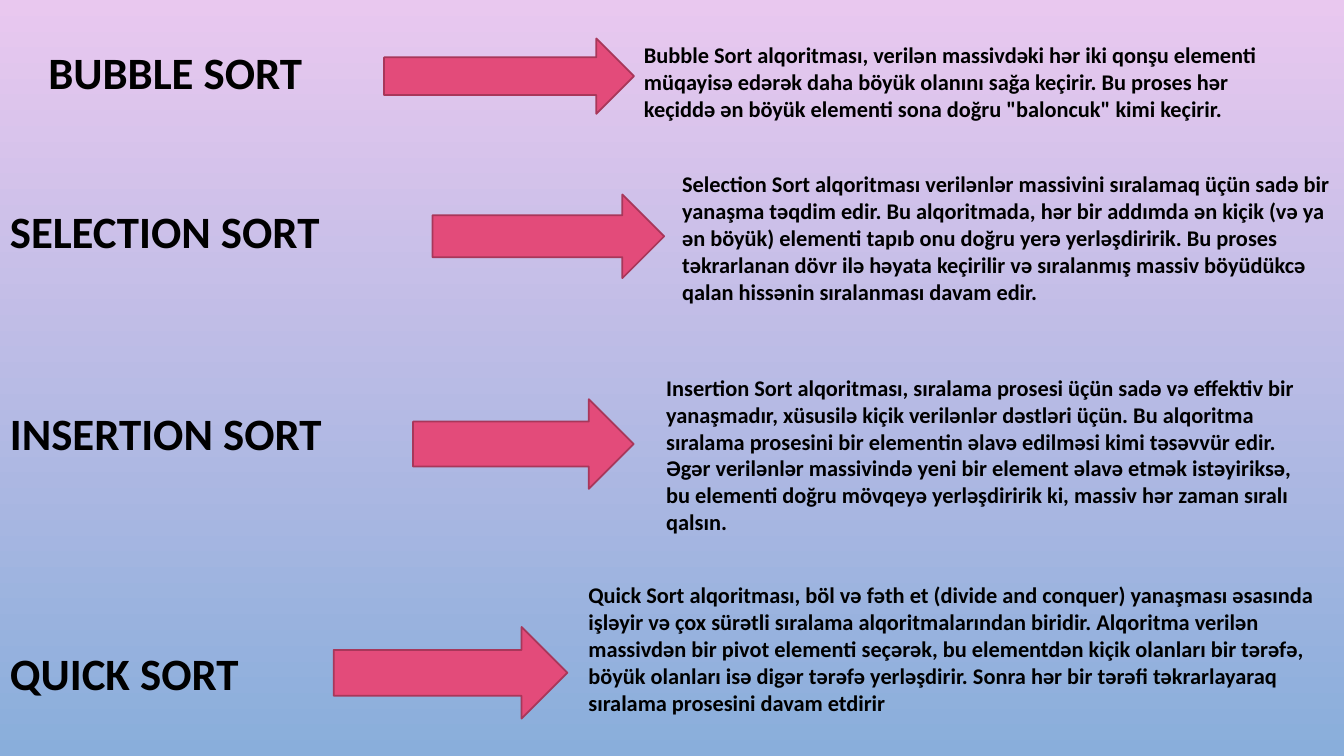
import pptx
import pptx.dml.color
import pptx.enum.shapes
import pptx.enum.text
import pptx.util
from pptx.util import Cm

BLACK, PINK, DARK_PINK = "000000", "E34B7A", "A8375A"
SKY_TOP, SKY_BOTTOM = "E9C8EF", "89AEDB"

SORTS = [
    {
        "name": "BUBBLE SORT",
        "name_box": (-0.84, 0.3, 10.52, 3.2),
        "centred": True,
        "arrow_box": (9.68, 0.97, 6.3, 1.9),
        "text_box": (15.98, 0.91, 16.94, 3),
        "text": "Bubble Sort alqoritması, verilən massivdəki hər iki qonşu elementi "
                "müqayisə edərək daha böyük olanını sağa keçirir. Bu proses hər "
                "keçiddə ən böyük elementi sona doğru \"baloncuk\" kimi keçirir.",
    },
    {
        "name": "SELECTION SORT",
        "name_box": (0, 5, 10.92, 1.63),
        "centred": False,
        "arrow_box": (10.9, 4.9, 5.84, 2.11),
        "text_box": (16.94, 4.17, 16.94, 4.37),
        "text": "Selection Sort alqoritması verilənlər massivini sıralamaq üçün sadə bir "
                "yanaşma təqdim edir. Bu alqoritmada, hər bir addımda ən kiçik (və ya "
                "ən böyük) elementi tapıb onu doğru yerə yerləşdiririk. Bu proses "
                "təkrarlanan dövr ilə həyata keçirilir və sıralanmış massiv böyüdükcə "
                "qalan hissənin sıralanması davam edir.",
    },
    {
        "name": "INSERTION SORT",
        "name_box": (0, 10.11, 10.85, 1.63),
        "centred": False,
        "arrow_box": (10.41, 10.06, 5.56, 2.26),
        "text_box": (16.54, 9.3, 16.94, 4.37),
        "text": "Insertion Sort alqoritması, sıralama prosesi üçün sadə və effektiv bir "
                "yanaşmadır, xüsusilə kiçik verilənlər dəstləri üçün. Bu alqoritma "
                "sıralama prosesini bir elementin əlavə edilməsi kimi təsəvvür edir. "
                "Əgər verilənlər massivində yeni bir element əlavə etmək istəyiriksə, "
                "bu elementi doğru mövqeyə yerləşdiririk ki, massiv hər zaman sıralı "
                "qalsın.",
    },
    {
        "name": "QUICK SORT",
        "name_box": (0, 16.15, 8.76, 1.63),
        "centred": False,
        "arrow_box": (8.41, 15.8, 5.89, 2.31),
        "text_box": (14.58, 14.53, 19.08, 4.37),
        "text": "Quick Sort alqoritması, böl və fəth et (divide and conquer) yanaşması "
                "əsasında işləyir və çox sürətli sıralama alqoritmalarından biridir. "
                "Alqoritma verilən massivdən bir pivot elementi seçərək, bu elementdən "
                "kiçik olanları bir tərəfə, böyük olanları isə digər tərəfə yerləşdirir. "
                "Sonra hər bir tərəfi təkrarlayaraq sıralama prosesini davam etdirir",
    },
]


def colour(value):
    """Return the RGB colour for a hex string."""
    return pptx.dml.color.RGBColor.from_string(value)


def paint_background(slide):
    """Fill the slide with a gradient running from top to bottom."""
    fill = slide.background.fill
    fill.gradient()
    fill.gradient_angle = 270
    for stop, position, value in zip(fill.gradient_stops, (0, 1), (SKY_TOP, SKY_BOTTOM)):
        stop.position = position
        stop.color.rgb = colour(value)


def add_text(slide, box, text, size, centred=False):
    """Add a bold text box, centred both ways when asked."""
    shape = slide.shapes.add_textbox(*map(Cm, box))
    frame = shape.text_frame
    frame.word_wrap = True
    paragraph = frame.paragraphs[0]
    if centred:
        frame.vertical_anchor = pptx.enum.text.MSO_ANCHOR.MIDDLE
        paragraph.alignment = pptx.enum.text.PP_ALIGN.CENTER
        paragraph.line_spacing = 0.9
    else:
        frame.auto_size = pptx.enum.text.MSO_AUTO_SIZE.SHAPE_TO_FIT_TEXT
    run = paragraph.add_run()
    run.text = text
    run.font.name = "Calibri"
    run.font.size = pptx.util.Pt(size)
    run.font.bold = True
    run.font.color.rgb = colour(BLACK)


def add_arrow(slide, box):
    """Add a pink block arrow pointing right."""
    kind = pptx.enum.shapes.MSO_SHAPE.RIGHT_ARROW
    shape = slide.shapes.add_shape(kind, *map(Cm, box))
    shape.shadow.inherit = False
    shape.fill.solid()
    shape.fill.fore_color.rgb = colour(PINK)
    shape.line.color.rgb = colour(DARK_PINK)
    shape.line.width = pptx.util.Pt(1.25)


def main():
    """Build the slide of sorting algorithms and save it."""
    presentation = pptx.Presentation()
    presentation.slide_width = Cm(33.87)
    presentation.slide_height = Cm(19.05)
    slide = presentation.slides.add_slide(presentation.slide_layouts[6])
    paint_background(slide)
    for sort in SORTS:
        add_text(slide, sort["name_box"], sort["name"], 32, sort["centred"])
        add_arrow(slide, sort["arrow_box"])
        add_text(slide, sort["text_box"], sort["text"], 16)
    presentation.save("out.pptx")


if __name__ == "__main__":
    main()
